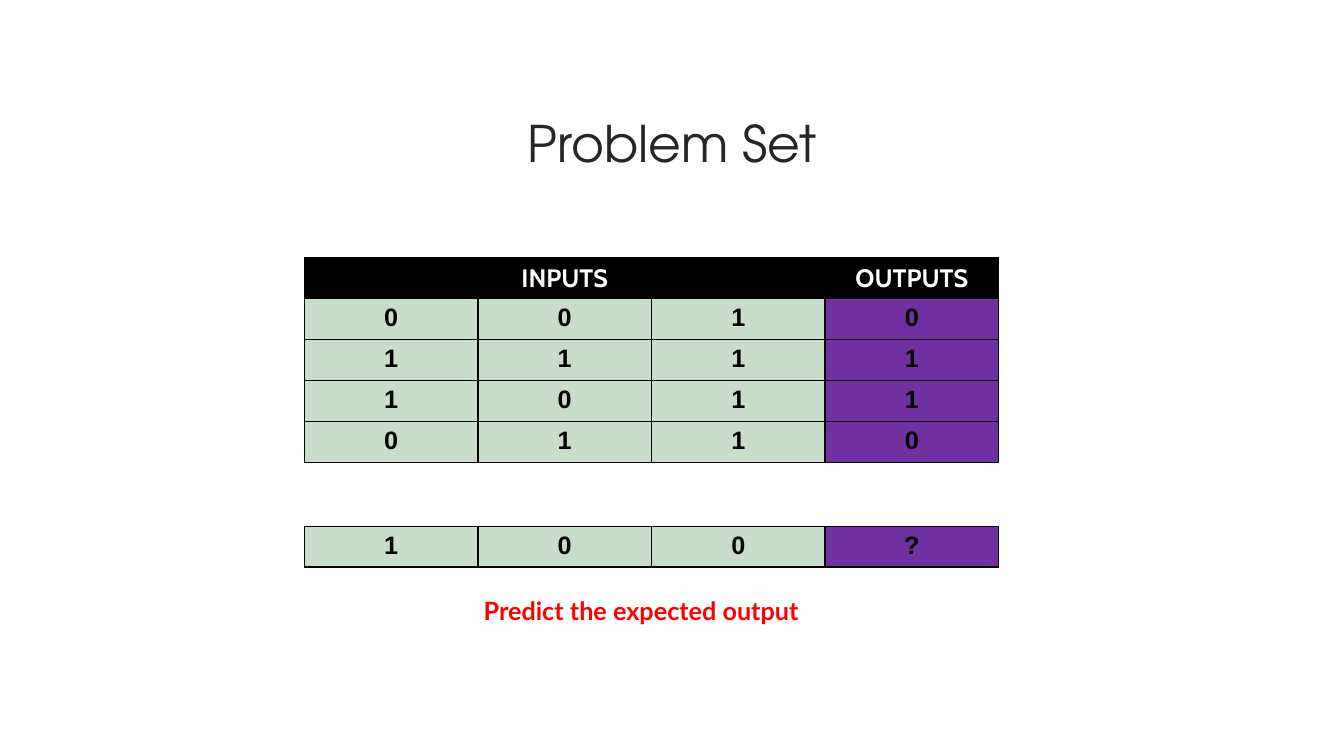
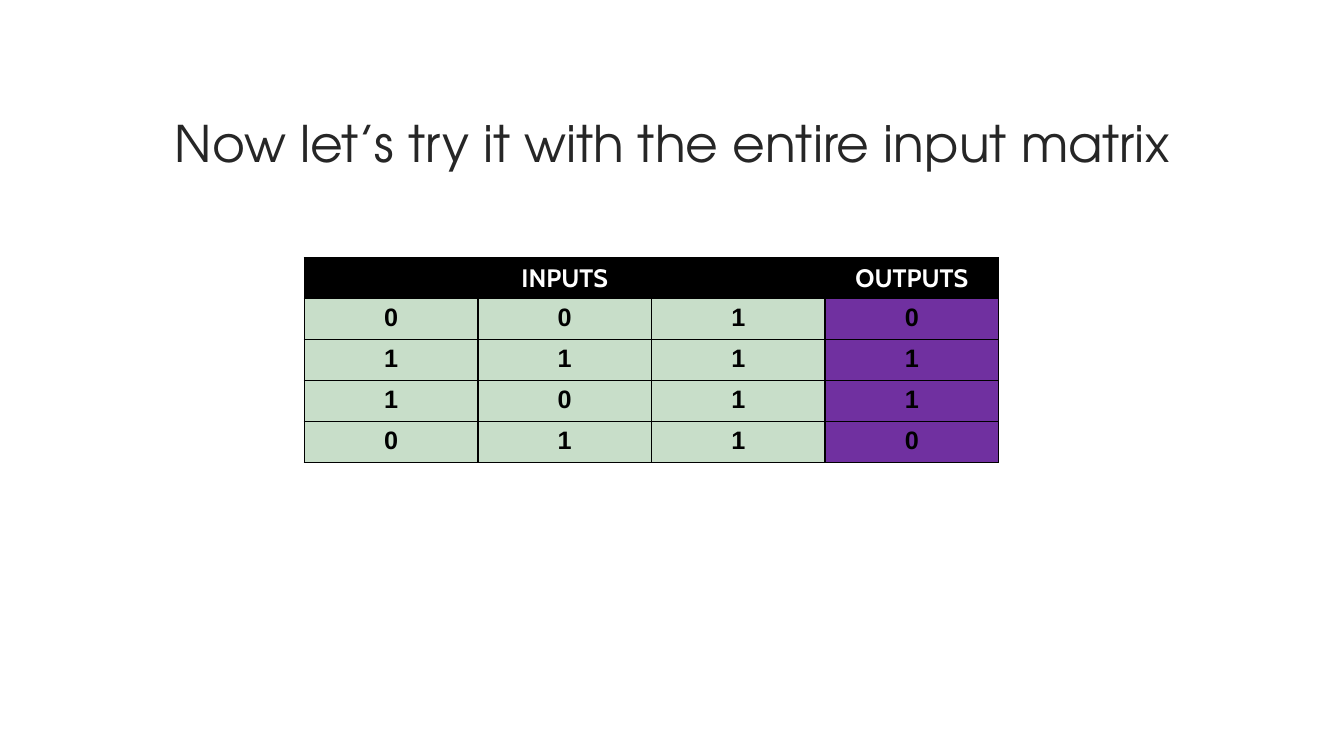
from dataclasses import dataclass

from lxml.etree import SubElement
from pptx import Presentation
from pptx.dml.color import RGBColor
from pptx.enum.text import MSO_ANCHOR, MSO_AUTO_SIZE, PP_ALIGN
from pptx.oxml.ns import qn
from pptx.slide import Slide
from pptx.table import Table, _Cell
from pptx.text.text import _Paragraph
from pptx.util import Pt

BLACK = RGBColor(0x00, 0x00, 0x00)
WHITE = RGBColor(0xFF, 0xFF, 0xFF)
CHARCOAL = RGBColor(0x26, 0x26, 0x26)
RED = RGBColor(0xFF, 0x00, 0x00)
INPUT_GREEN = RGBColor(0xC8, 0xDE, 0xC9)
OUTPUT_PURPLE = RGBColor(0x70, 0x30, 0xA0)

TABLE_LEFT = Pt(217.4)
TRAINING_TOP = Pt(184.2)
QUESTION_TOP = Pt(375.8)
COLUMN_WIDTH = Pt(124)
ROW_HEIGHT = Pt(29.25)
BORDER_WIDTH = Pt(1)
INPUT_COUNT = 3

TRAINING_ROWS = ["0010", "1111", "1011", "0110"]
QUESTION_ROW = "100?"


@dataclass(frozen=True)
class TextStyle:
    font: str
    size: float
    color: RGBColor
    bold: bool = True
    align: PP_ALIGN = PP_ALIGN.CENTER


TITLE = TextStyle("TeX Gyre Adventor", 36, CHARCOAL, bold=False)
HEADING = TextStyle("Cabin", 18, WHITE)
VALUE = TextStyle("Arial", 18, BLACK)
PROMPT = TextStyle("Lato", 18, RED, align=PP_ALIGN.LEFT)


def write(paragraph: _Paragraph, text: str, style: TextStyle) -> None:
    paragraph.text = text
    paragraph.alignment = style.align
    paragraph.font.name = style.font
    paragraph.font.size = Pt(style.size)
    paragraph.font.bold = style.bold
    paragraph.font.color.rgb = style.color


def add_title(slide: Slide, text: str) -> None:
    frame = slide.shapes.add_textbox(Pt(84.2), Pt(50.4), Pt(792), Pt(108)).text_frame
    frame.word_wrap = True
    frame.vertical_anchor = MSO_ANCHOR.MIDDLE
    write(frame.paragraphs[0], text, TITLE)
    frame.paragraphs[0].line_spacing = 0.9


def add_prompt(slide: Slide, text: str) -> None:
    frame = slide.shapes.add_textbox(Pt(338.4), Pt(421.9), Pt(253.4), Pt(29)).text_frame
    frame.word_wrap = True
    frame.auto_size = MSO_AUTO_SIZE.SHAPE_TO_FIT_TEXT
    write(frame.paragraphs[0], text, PROMPT)


def paint_cell(cell: _Cell, color: RGBColor) -> None:
    """Give the cell a black border on every side and a solid fill."""
    properties = cell._tc.get_or_add_tcPr()
    for side in ("a:lnL", "a:lnR", "a:lnT", "a:lnB"):
        line = SubElement(properties, qn(side), w=str(BORDER_WIDTH))
        line_fill = SubElement(line, qn("a:solidFill"))
        SubElement(line_fill, qn("a:srgbClr"), val=str(BLACK))
    cell.fill.solid()
    cell.fill.fore_color.rgb = color


def add_grid(slide: Slide, top: Pt, row_count: int) -> Table:
    column_count = INPUT_COUNT + 1
    table = slide.shapes.add_table(
        row_count, column_count, TABLE_LEFT, top,
        COLUMN_WIDTH * column_count, ROW_HEIGHT * row_count,
    ).table
    table.first_row = False
    table.horz_banding = False
    return table


def fill_values(table: Table, first_row: int, rows: list[str]) -> None:
    for row_index, values in enumerate(rows, first_row):
        for column, value in enumerate(values):
            cell = table.cell(row_index, column)
            paint_cell(cell, INPUT_GREEN if column < INPUT_COUNT else OUTPUT_PURPLE)
            write(cell.text_frame.paragraphs[0], value, VALUE)


def add_training_table(slide: Slide) -> None:
    table = add_grid(slide, TRAINING_TOP, len(TRAINING_ROWS) + 1)
    for heading_cell in table.rows[0].cells:
        paint_cell(heading_cell, BLACK)
    table.cell(0, 0).merge(table.cell(0, INPUT_COUNT - 1))
    for column, heading in ((0, "INPUTS"), (INPUT_COUNT, "OUTPUTS")):
        write(table.cell(0, column).text_frame.paragraphs[0], heading, HEADING)
    fill_values(table, 1, TRAINING_ROWS)


def add_training_slide(presentation: Presentation, title: str) -> Slide:
    slide = presentation.slides.add_slide(presentation.slide_layouts[6])
    add_title(slide, title)
    add_training_table(slide)
    return slide


def main() -> None:
    presentation = Presentation()
    presentation.slide_width = Pt(960)
    presentation.slide_height = Pt(540)

    problem_slide = add_training_slide(presentation, "Problem Set")
    fill_values(add_grid(problem_slide, QUESTION_TOP, 1), 0, [QUESTION_ROW])
    add_prompt(problem_slide, "Predict the expected output")

    add_training_slide(presentation, "Now let’s try it with the entire input matrix")
    presentation.save("out.pptx")


if __name__ == "__main__":
    main()
